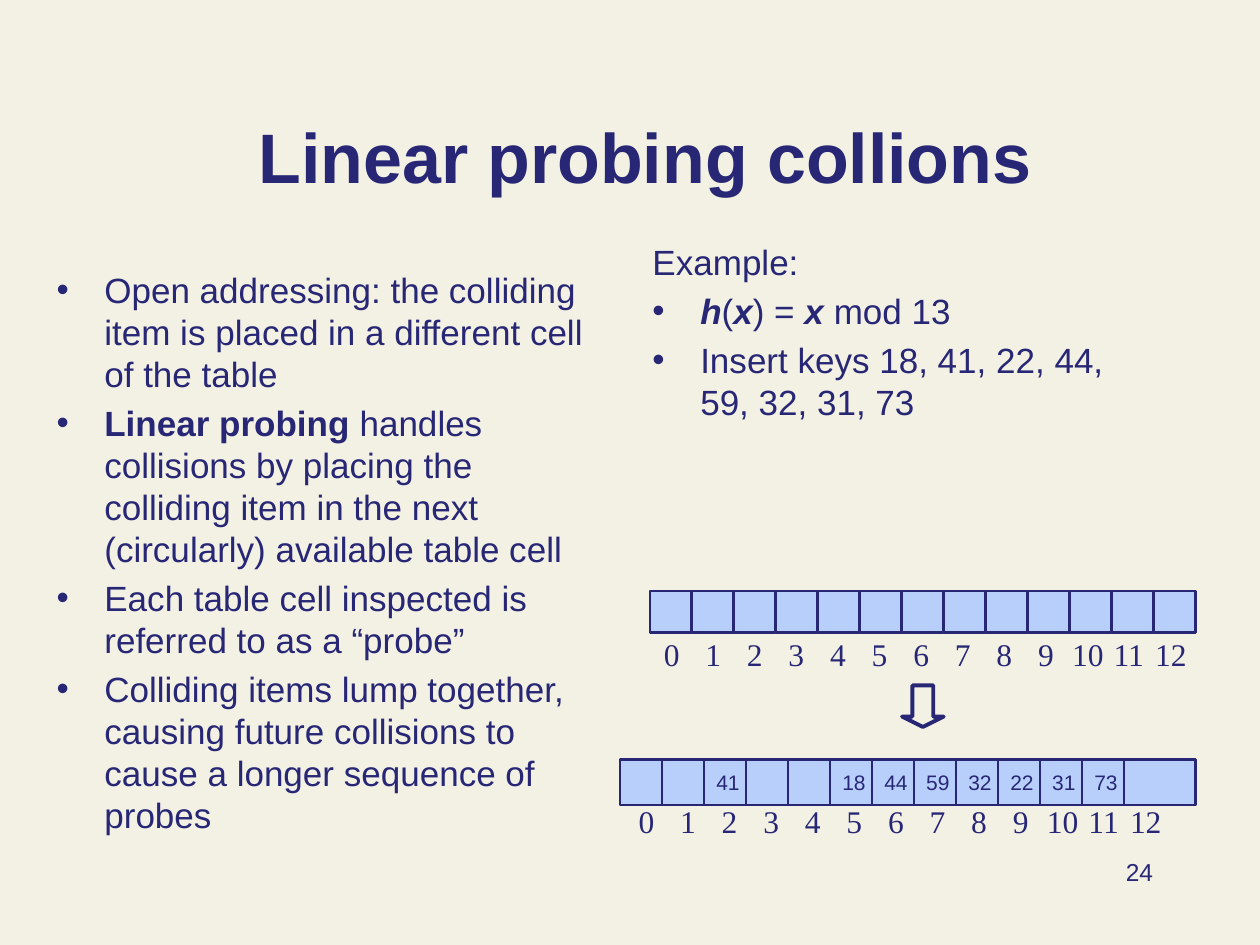
from dataclasses import dataclass

from lxml.etree import SubElement
from pptx import Presentation
from pptx.dml.color import RGBColor
from pptx.enum.shapes import MSO_SHAPE as Preset
from pptx.enum.text import MSO_ANCHOR as Anchor, PP_ALIGN as Align
from pptx.oxml.ns import qn
from pptx.shapes.autoshape import Shape
from pptx.slide import Slide
from pptx.util import Inches, Pt

COLORS = {"background": "F3F1E4", "ink": "272776", "cell": "B8CFFB"}
CELL_PITCH = 1 / 3
LABEL_PITCH = 0.33
LABEL_HEIGHT = 0.4
BULLET_INDENT = Inches(0.38)


@dataclass(frozen=True)
class Box:
    left: float
    top: float
    width: float
    height: float


@dataclass(frozen=True)
class Span:
    text: str
    bold: bool = False
    italic: bool = False


@dataclass(frozen=True)
class Line:
    spans: tuple[Span, ...]
    bullet: bool = True


@dataclass(frozen=True)
class HashTable:
    first_cell: Box
    label_left: float
    label_top: float
    keys: dict[int, str]
    size: int = 13


EXPLANATION = [
    Line((Span("Open addressing: the colliding item is placed in a different cell of the table"),)),
    Line((
        Span("Linear probing", bold=True),
        Span(" handles collisions by placing the colliding item in the next (circularly) available table cell"),
    )),
    Line((Span("Each table cell inspected is referred to as a “probe”"),)),
    Line((Span("Colliding items lump together, causing future collisions to cause a longer sequence of probes"),)),
]

EXAMPLE = [
    Line((Span("Example:"),), bullet=False),
    Line((
        Span("h", True, True),
        Span("("),
        Span("x", True, True),
        Span(") ="),
        Span(" x ", True, True),
        Span("mod 13"),
    )),
    Line((Span("Insert keys 18, 41, 22, 44, 59, 32, 31, 73"),)),
]

TABLES = [
    HashTable(Box(5.16, 4.69, 0.33, 0.33), 5.17, 4.99, {}),
    HashTable(
        Box(4.92, 6.03, 0.57, 0.36), 4.97, 6.32,
        {2: "41", 5: "18", 6: "44", 7: "59", 8: "32", 9: "22", 10: "31", 11: "73"},
    ),
]


def color(name: str) -> RGBColor:
    return RGBColor.from_string(COLORS[name])


def lengths(box: Box) -> list[Inches]:
    return [Inches(value) for value in (box.left, box.top, box.width, box.height)]


def style_font(font, size: float, name: str = "Arial", bold: bool = False, italic: bool = False) -> None:
    font.size = Pt(size)
    font.name = name
    font.bold = bold
    font.italic = italic
    font.color.rgb = color("ink")


def write_text(shape: Shape, text: str, size: float, name: str = "Arial",
               align: Align = Align.LEFT, bold: bool = False) -> None:
    shape.text_frame.text = text
    paragraph = shape.text_frame.paragraphs[0]
    paragraph.alignment = align
    style_font(paragraph.runs[0].font, size, name, bold)


def add_text(slide: Slide, box: Box, text: str, size: float, name: str = "Arial",
             align: Align = Align.LEFT, bold: bool = False,
             anchor: Anchor = Anchor.TOP, wrap: bool = True) -> None:
    shape = slide.shapes.add_textbox(*lengths(box))
    shape.text_frame.word_wrap = wrap
    shape.text_frame.vertical_anchor = anchor
    write_text(shape, text, size, name, align, bold)


def add_bullet(paragraph) -> None:
    properties = paragraph._p.get_or_add_pPr()
    properties.set("marL", str(BULLET_INDENT))
    properties.set("indent", str(-BULLET_INDENT))
    bullet_color = SubElement(properties, qn("a:buClr"))
    SubElement(bullet_color, qn("a:srgbClr"), val=COLORS["ink"])
    SubElement(properties, qn("a:buFont"), typeface="Arial")
    SubElement(properties, qn("a:buChar"), char="•")


def add_lines(slide: Slide, box: Box, lines: list[Line]) -> None:
    text_frame = slide.shapes.add_textbox(*lengths(box)).text_frame
    text_frame.word_wrap = True
    for index, line in enumerate(lines):
        paragraph = text_frame.add_paragraph() if index else text_frame.paragraphs[0]
        paragraph.space_before = Pt(4 if index else 0)
        if line.bullet:
            add_bullet(paragraph)
        for span in line.spans:
            run = paragraph.add_run()
            run.text = span.text
            style_font(run.font, 20, bold=span.bold, italic=span.italic)


def add_outlined(slide: Slide, preset: Preset, box: Box, line_width: float) -> Shape:
    shape = slide.shapes.add_shape(preset, *lengths(box))
    shape.shadow.inherit = False
    shape.line.color.rgb = color("ink")
    shape.line.width = Pt(line_width)
    return shape


def add_hash_table(slide: Slide, table: HashTable) -> None:
    first = table.first_cell
    for index in range(table.size):
        box = Box(first.left + index * CELL_PITCH, first.top, first.width, first.height)
        cell = add_outlined(slide, Preset.RECTANGLE, box, 1.5)
        cell.fill.solid()
        cell.fill.fore_color.rgb = color("cell")
        if index in table.keys:
            write_text(cell, table.keys[index], 12)
    for index in range(table.size):
        width = 0.33 if index < 10 else 0.45
        center = table.label_left + (index + 0.5) * LABEL_PITCH
        box = Box(center - width / 2, table.label_top, width, LABEL_HEIGHT)
        add_text(slide, box, str(index), 18, "Times New Roman", wrap=False)


def add_down_arrow(slide: Slide, box: Box) -> None:
    arrow = add_outlined(slide, Preset.DOWN_ARROW, box, 2.25)
    arrow.fill.background()
    arrow.adjustments[1] = 0.25


def main() -> None:
    presentation = Presentation()
    presentation.slide_width = Inches(10)
    presentation.slide_height = Inches(7.5)
    slide = presentation.slides.add_slide(presentation.slide_layouts[6])
    slide.background.fill.solid()
    slide.background.fill.fore_color.rgb = color("background")

    add_text(slide, Box(1.3, 0.84, 7.64, 0.78), "Linear probing collions", 40,
             align=Align.CENTER, bold=True, anchor=Anchor.BOTTOM)
    add_lines(slide, Box(0.35, 2.08, 4.41, 4.74), EXPLANATION)
    add_text(slide, Box(7.17, 6.75, 2.08, 0.5), "24", 14, align=Align.RIGHT)
    add_lines(slide, Box(5.08, 1.86, 4.17, 2.42), EXAMPLE)
    for table in TABLES:
        add_hash_table(slide, table)
    add_down_arrow(slide, Box(7.16, 5.44, 0.33, 0.33))

    presentation.save("out.pptx")


if __name__ == "__main__":
    main()
